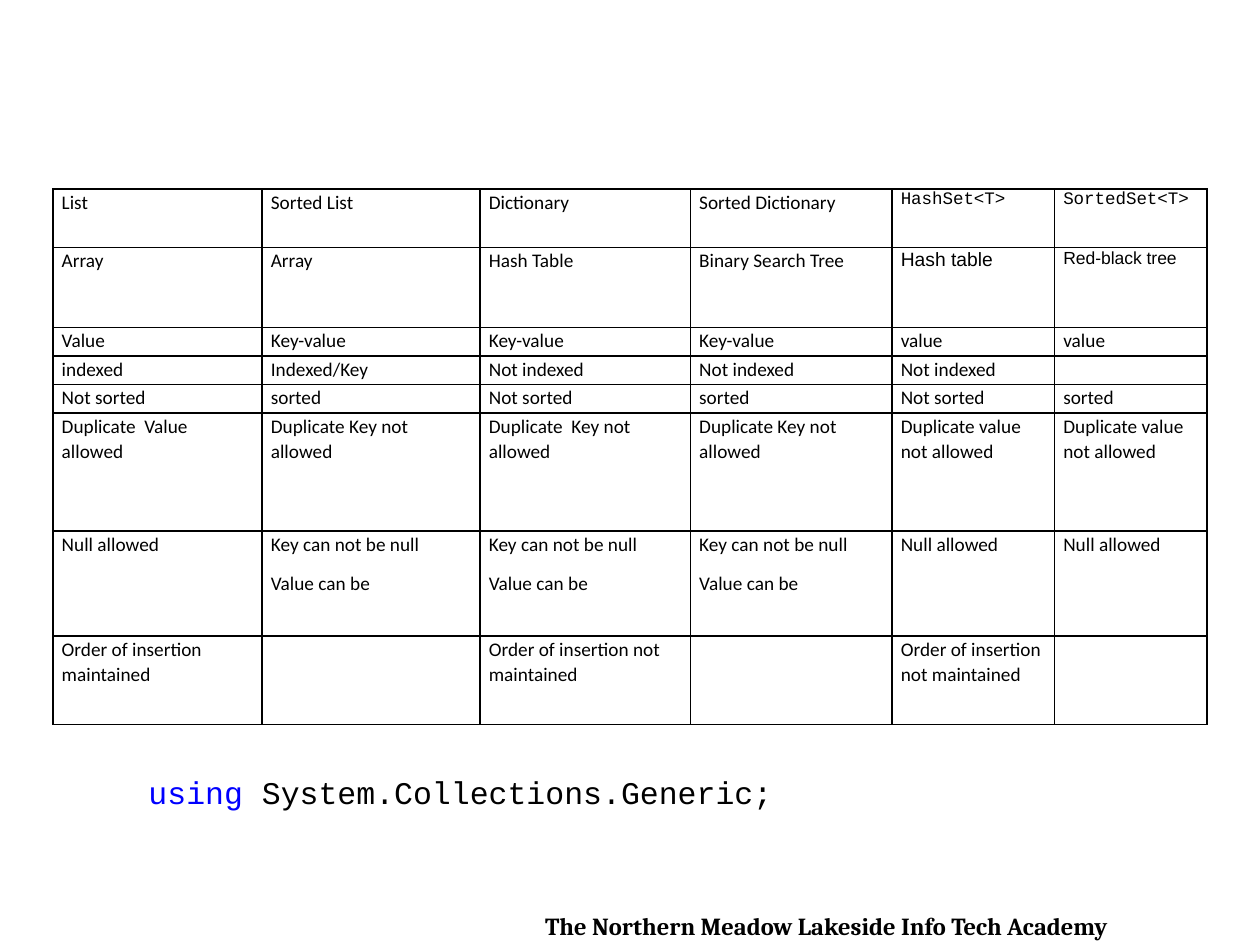
from lxml import etree
from pptx import Presentation, util as u
from pptx.dml.color import RGBColor
from pptx.enum import text
from pptx.oxml.ns import qn

COLORS = {"ink": "000000", "keyword": "0000FF"}
COLUMNS = [16.6, 17.3, 16.7, 16, 12.9, 12.1]
ROWS = [6.19, 8.47, 3.02, 3.02, 3.02, 12.49, 11.11, 9.36]
KEY_NULL = "Key can not be null\nValue can be"
CELLS = [
    ["List", "Sorted List", "Dictionary", "Sorted Dictionary", "HashSet<T>", "SortedSet<T>"],
    ["Array", "Array", "Hash Table", "Binary Search Tree", "Hash table", "Red-black tree"],
    ["Value", "Key-value", "Key-value", "Key-value", "value", "value"],
    ["indexed", "Indexed/Key", "Not indexed", "Not indexed", "Not indexed", ""],
    ["Not sorted", "sorted", "Not sorted", "sorted", "Not sorted", "sorted"],
    ["Duplicate  Value allowed", "Duplicate Key not allowed", "Duplicate  Key not allowed",
     "Duplicate Key not allowed", "Duplicate value not allowed", "Duplicate value not allowed"],
    ["Null allowed", KEY_NULL, KEY_NULL, KEY_NULL, "Null allowed", "Null allowed"],
    ["Order of insertion maintained", "", "Order of insertion not maintained", "",
     "Order of insertion not maintained", ""],
]
CELL_FORMATS = {
    (0, 4): {"font": "Courier New", "size": 10},
    (0, 5): {"font": "Courier New", "size": 10},
    (1, 4): {"font": "Arial"},
    (1, 5): {"font": "Arial", "size": 10},
}


def write(p, content, font="Calibri", size=11, color="ink", bold=False):
    """Add a formatted run to a paragraph."""
    r = p.add_run()
    r.text = content
    r.font.name, r.font.size, r.font.bold = font, u.Pt(size), bold
    r.font.color.rgb = RGBColor.from_string(COLORS[color])


class Deck:
    """Holds the style and the current slide; lengths are percent of the slide."""

    def __init__(self, width=10, height=7.5):
        self.prs = Presentation()
        self.prs.slide_width, self.prs.slide_height = u.Inches(width), u.Inches(height)
        self.s = self.prs.slides.add_slide(self.prs.slide_layouts[6])

    def x(self, share):
        return round(self.prs.slide_width * share / 100)

    def y(self, share):
        return round(self.prs.slide_height * share / 100)

    def textbox(self, left, top, width, height, runs, align=text.PP_ALIGN.LEFT):
        sp = self.s.shapes.add_textbox(self.x(left), self.y(top), self.x(width), self.y(height))
        tf = sp.text_frame
        tf.word_wrap = True
        tf.auto_size = text.MSO_AUTO_SIZE.SHAPE_TO_FIT_TEXT
        p = tf.paragraphs[0]
        p.alignment = align
        for content, fmt in runs:
            write(p, content, **fmt)

    def border(self, cell):
        tc_pr = cell._tc.get_or_add_tcPr()
        for side in ("a:lnL", "a:lnR", "a:lnT", "a:lnB"):
            ln = etree.SubElement(tc_pr, qn(side), w=str(u.Pt(1)))
            fill = etree.SubElement(ln, qn("a:solidFill"))
            etree.SubElement(fill, qn("a:srgbClr"), val=COLORS["ink"])

    def cell(self, cell, content, **fmt):
        cell.margin_left = cell.margin_right = u.Inches(0.07)
        cell.margin_top = cell.margin_bottom = 0
        self.border(cell)
        cell.fill.background()
        tf = cell.text_frame
        for i, line in enumerate(content.split("\n")):
            p = tf.add_paragraph() if i else tf.paragraphs[0]
            p.line_spacing, p.space_after = 1.07, u.Pt(8)
            if line:
                write(p, line, **fmt)
            else:
                etree.SubElement(p._p, qn("a:endParaRPr"), sz="1100")

    def table(self, left, top, columns, rows, cells, formats):
        table = self.s.shapes.add_table(
            len(rows), len(columns), self.x(left), self.y(top),
            self.x(sum(columns)), self.y(sum(rows))).table
        table.first_row = table.horz_banding = False
        for column, width in zip(table.columns, columns):
            column.width = self.x(width)
        for i, (row, height) in enumerate(zip(table.rows, rows)):
            row.height = self.y(height)
            for j, content in enumerate(cells[i]):
                self.cell(table.cell(i, j), content, **formats.get((i, j), {}))


def main():
    deck = Deck()
    deck.textbox(-0.8, 95.75, 132.8, 4.5,
                 [("The Northern Meadow Lakeside Info Tech Academy",
                   {"font": "Cambria", "size": 14, "bold": True})],
                 align=text.PP_ALIGN.CENTER)
    deck.table(4.2, 20, COLUMNS, ROWS, CELLS, CELL_FORMATS)
    code = {"font": "Courier New", "size": 18}
    deck.textbox(10.8, 81.1, 80.8, 5.4,
                 [("using", {**code, "color": "keyword"}),
                  (" System.Collections.Generic;", code)])
    deck.prs.save("out.pptx")


if __name__ == "__main__":
    main()
